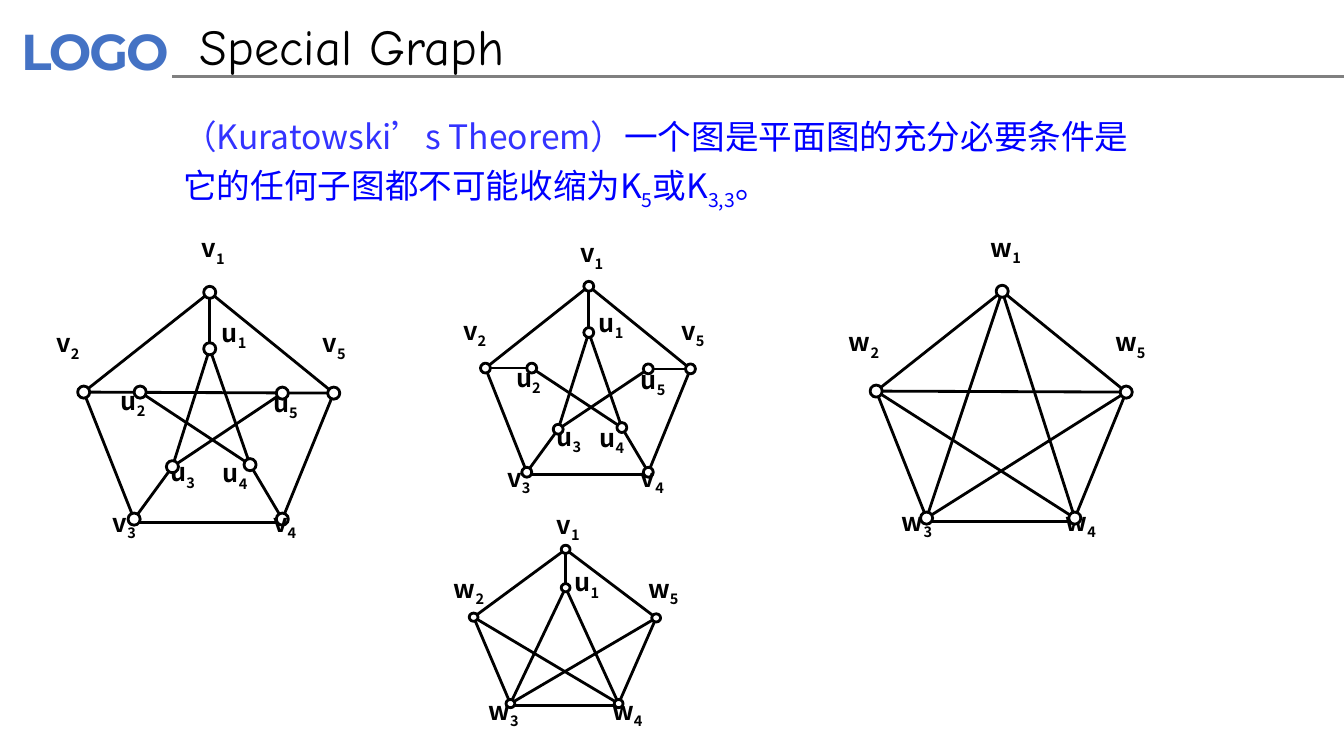
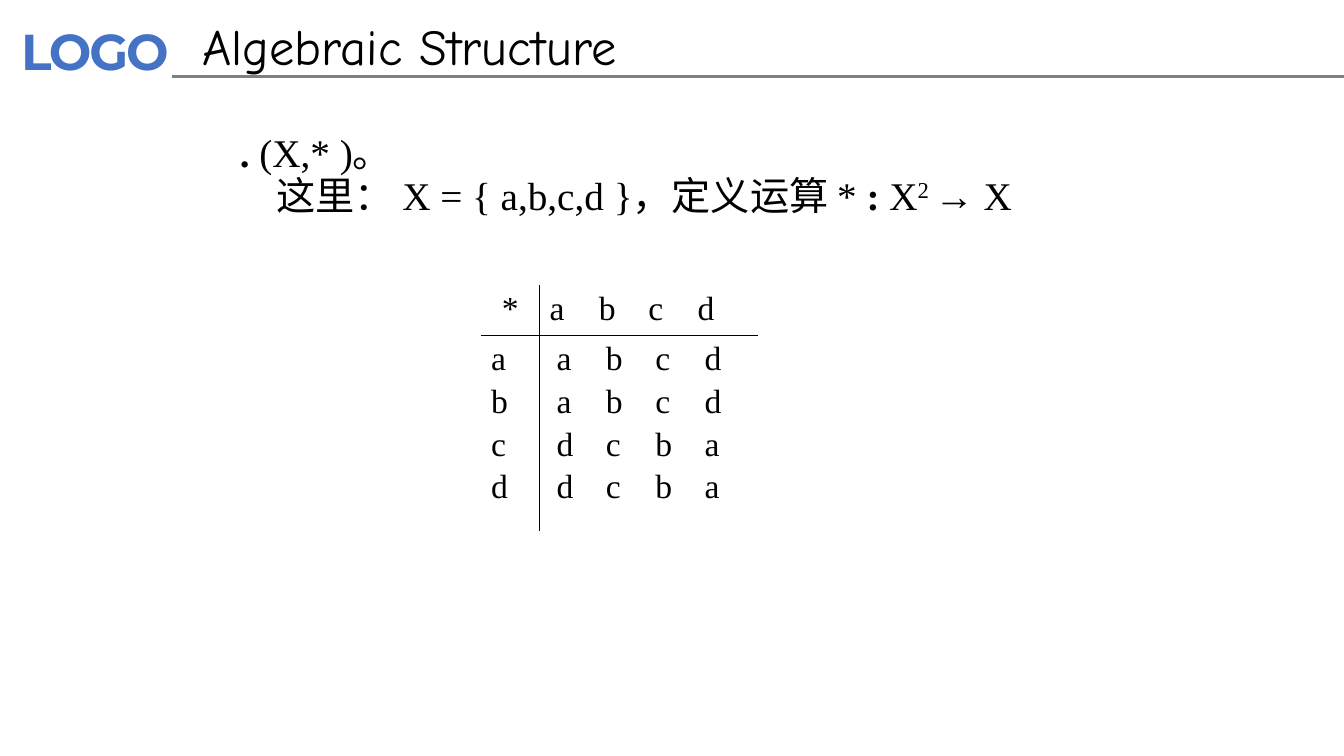
"""Build two slides: special graphs and an algebraic structure."""
from dataclasses import dataclass
from itertools import product
from lxml.etree import SubElement
from pptx import Presentation
from pptx.dml.color import RGBColor
from pptx.enum.shapes import MSO_CONNECTOR, MSO_SHAPE
from pptx.enum.text import MSO_ANCHOR, MSO_AUTO_SIZE, PP_ALIGN
from pptx.oxml import parse_xml
from pptx.oxml.ns import nsdecls, qn
from pptx.util import Inches, Pt


@dataclass(frozen=True)
class Theme:
    ink: RGBColor = RGBColor(0, 0, 0)
    paper: RGBColor = RGBColor(255, 255, 255)
    brand: RGBColor = RGBColor(0x44, 0x72, 0xC4)
    rule: RGBColor = RGBColor(0x80, 0x80, 0x80)
    lead: RGBColor = RGBColor(0x33, 0x33, 0xFF)
    blue: RGBColor = RGBColor(0, 0, 0xFF)
    head: Pt = Pt(36)
    body: Pt = Pt(28)
    text: Pt = Pt(24)
    mark: Pt = Pt(18)
    line: Pt = Pt(2)
    sans: str = "Noto Sans CJK SC"
    serif: str = "Times New Roman"


T = Theme()
HEAD = dict(name="Comic Neue", size=T.head, color=T.ink)
LOGO = dict(name="Montserrat", size=T.head, color=T.brand, bold=True, spc=-150)
LEAD = dict(name=T.sans, size=T.text, color=T.blue)
MARK = dict(name=T.sans, size=T.mark, color=T.ink, bold=True)
BODY = dict(name=T.serif, size=T.body, color=T.ink, bold=False)
CELL = {**BODY, "size": T.text}
SUB = dict(baseline=-25000)
SUP = dict(baseline=30000)
BOLD = dict(bold=True)
FLAT = dict(margin_left=0, margin_top=0, margin_right=0, margin_bottom=0)


def write(frame, rows, look, flow):
    frame.word_wrap = True
    for num, row in enumerate(rows):
        par = frame.add_paragraph() if num else frame.paragraphs[0]
        for key, val in flow.items():
            setattr(par, key, val)
        for text, *more in row:
            run = par.add_run()
            run.text = text
            props = run._r.get_or_add_rPr()
            for key, val in {**look, **(more[0] if more else {})}.items():
                if key == "color":
                    run.font.color.rgb = val
                elif key in ("baseline", "spc"):
                    props.set(key, str(val))
                else:
                    setattr(run.font, key, val)
            SubElement(props, qn("a:ea")).set("typeface", T.sans)


def link(shapes, start, end, color):
    line = shapes.add_connector(MSO_CONNECTOR.STRAIGHT, *map(Inches, (*start, *end)))
    line.line.color.rgb = color
    line.line.width = T.line
    SubElement(line._element.spPr, qn("a:effectLst"))


deck = Presentation()
deck.slide_width, deck.slide_height = Inches(13.33), Inches(7.5)

slides = []
for name, left in (("Special Graph", 1.88), ("Algebraic Structure", 1.91)):
    slide = deck.slides.add_slide(deck.slide_layouts[5])
    logo = slide.shapes.add_textbox(*map(Inches, (0.08, 0.13, 1.86, 0.74))).text_frame
    logo.margin_left = logo.margin_right = Inches(0.13)
    logo.margin_top = logo.margin_bottom = Inches(0.07)
    write(logo, [[("LOGO",)]], LOGO, {})
    link(slide.shapes, (1.71, 0.76), (13.33, 0.76), T.rule)
    title = slide.shapes.title
    for key, val in dict(left=left, top=0.1, width=8.62, height=0.71).items():
        setattr(title, key, Inches(val))
    title.text_frame.auto_size = MSO_AUTO_SIZE.NONE
    title.text_frame.vertical_anchor = MSO_ANCHOR.TOP
    write(title.text_frame, [[(name,)]], HEAD, dict(alignment=PP_ALIGN.LEFT))
    slides.append(slide)
graph, table = slides

claim = graph.shapes.add_textbox(*map(Inches, (1.72, 1.02, 9.59, 1.13)))
write(claim.text_frame, [[
    ("（Kuratowski’s Theorem）", dict(color=T.lead)),
    ("一个图是平面图的充分必要条件是它的任何子图都不可能收缩为K",),
    ("5", SUB), ("或K",), ("3,3", SUB), ("。",),
]], LEAD, dict(line_spacing=1.2, space_before=Pt(10)))

SPOT = {
    "v1": (0, 0), "v2": (-1.25, 0.99), "v3": (-0.75, 2.25),
    "v4": (0.72, 2.25), "v5": (1.23, 1), "u1": (0, 0.56),
    "u2": (-0.69, 0.99), "u3": (-0.37, 1.73), "u4": (0.4, 1.71), "u5": (0.72, 1),
}
TAG = {
    "v1": (-0.2, -0.59), "v2": (-1.52, 0.35), "v3": (-1.08, 2.13),
    "v4": (0.63, 2.13), "v5": (1.12, 0.35), "u1": (0.12, 0.25),
    "u2": (-0.88, 0.92), "u3": (-0.39, 1.63), "u4": (0.13, 1.64), "u5": (0.63, 0.94),
}
RING = "v1-v2 v2-v3 v3-v4 v4-v5 v5-v1 "
STAR = RING + "v1-u1 u1-u3 u1-u4 u5-u3 u2-u4 u3-v3 u4-v4 "
FULL = "v1 v2 v3 v4 v5 u1 u2 u3 u4 u5"
GRAPHS = [
    ((2.08, 2.9), (1, 1), FULL, "u1 u3 u4", STAR + "v2-v5"),
    ((5.84, 2.84), (0.82, 0.82), FULL, "u1 u3 u4", STAR + "v2-u2 u5-v5"),
    ((9.94, 2.89), (1, 1), "w1 w2 w3 w4 w5", "w4",
     RING + "v2-v5 v1-v3 v1-v4 v5-v3 v2-v4"),
    ((5.61, 5.45), (0.73, 0.68), "v1 w2 w3 w4 w5 u1", "u1",
     RING + "v1-u1 u1-v3 u1-v4 v5-v3 v2-v4"),
]

for (x, y), (wide, high), names, front, edges in GRAPHS:
    group = graph.shapes.add_group_shape().shapes
    spot = {key: (x + a * wide, y + b * high) for key, (a, b) in SPOT.items()}
    for edge in edges.split():
        sag = 0.03 * high if edge == "v3-v4" else 0
        start, end = [(a, b + sag) for a, b in map(spot.get, edge.split("-"))]
        link(group, start, end, T.ink)
    back = [name for name in names.split() if name not in front.split()]
    steps = [("dot", back), ("tag", names.split()), ("dot", front.split())]
    for kind, name in [(kind, name) for kind, part in steps for name in part]:
        key = name.replace("w", "v")
        if kind == "dot":
            a, b = spot[key]
            w, h = 0.12 * wide, 0.12 * high
            dot = group.add_shape(MSO_SHAPE.OVAL, *map(Inches, (a - w / 2, b - h / 2, w, h)))
            dot.shadow.inherit = False
            dot.fill.solid()
            dot.fill.fore_color.rgb = T.paper
            dot.line.color.rgb = T.ink
            dot.line.width = T.line
        else:
            a, b = TAG[key]
            place = (x + a * wide, y + b * high, 0.47 * wide, 0.4 * high)
            frame = group.add_textbox(*map(Inches, place)).text_frame
            for side, val in FLAT.items():
                setattr(frame, side, val)
            side = PP_ALIGN.CENTER if key in ("v1", "v3") else PP_ALIGN.LEFT
            write(frame, [[(name[0],), (name[1], SUB)]], MARK, dict(alignment=side))

intro = table.shapes.add_textbox(*map(Inches, (2.28, 1.28, 8.77, 0.95))).text_frame
write(intro, [
    [(". ", BOLD), ("(X,* )。",)],
    [("这里： X = { a,b,c,d }，定义运算 * ",), (":", BOLD), (" X",), ("2 ", SUP), ("→ X",)],
], BODY, dict(line_spacing=0.9))
intro.paragraphs[1]._p.get_or_add_pPr().set("marL", str(Inches(0.36)))

grid = table.shapes.add_table(2, 2, *map(Inches, (4.77, 2.83, 2.75, 2.44))).table
grid.first_row = grid.horz_banding = False
for num, (wide, high) in enumerate(((0.58, 0.5), (2.17, 1.94))):
    grid.columns[num].width = Inches(wide)
    grid.rows[num].height = Inches(high)
CELLS = [["*", "abcd"], ["a b c d", "abcd abcd dcba dcba"]]

for row, col in product(range(2), range(2)):
    cell = grid.cell(row, col)
    cell.margin_left = Inches(0.17 if row and col else 0.1)
    side = PP_ALIGN.LEFT if row or col else PP_ALIGN.CENTER
    rows = [[("\t".join(word),)] for word in CELLS[row][col].split()]
    write(cell.text_frame, rows, CELL, dict(alignment=side, space_before=Pt(4)))
    for par in cell.text_frame.paragraphs:
        tabs = SubElement(par._p.get_or_add_pPr(), qn("a:tabLst"))
        for num in range(1, 4):
            stop = SubElement(tabs, qn("a:tab"))
            stop.set("pos", str(Inches(0.49 * num)))
            stop.set("algn", "l")
    cell.fill.background()
    shown = {"L": col == 1, "R": col == 0, "T": row == 1, "B": row == 0}
    for num, (edge, ink) in enumerate(shown.items()):
        fill = f'<a:solidFill><a:srgbClr val="{T.ink}"/></a:solidFill>' if ink else "<a:noFill/>"
        border = parse_xml(f'<a:ln{edge} {nsdecls("a")} w="{Pt(1)}">{fill}</a:ln{edge}>')
        cell._tc.get_or_add_tcPr().insert(num, border)

deck.save("out.pptx")
